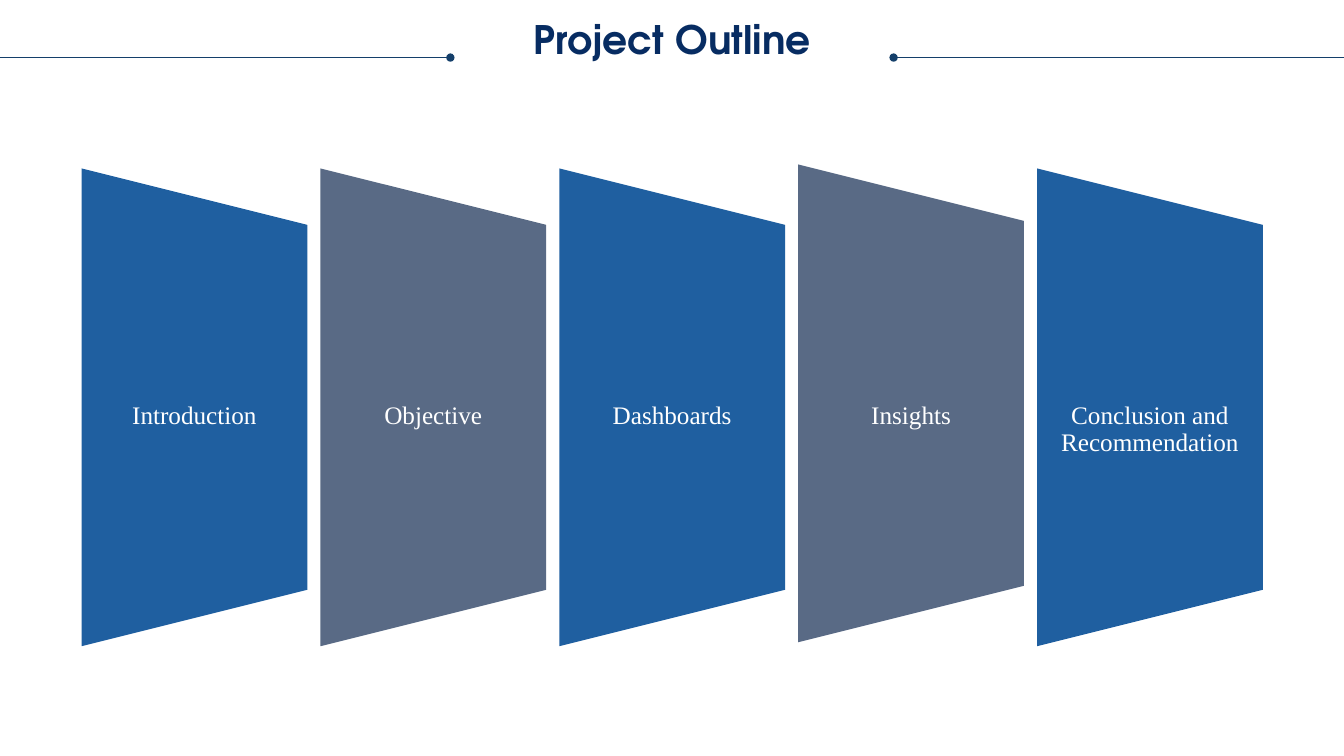
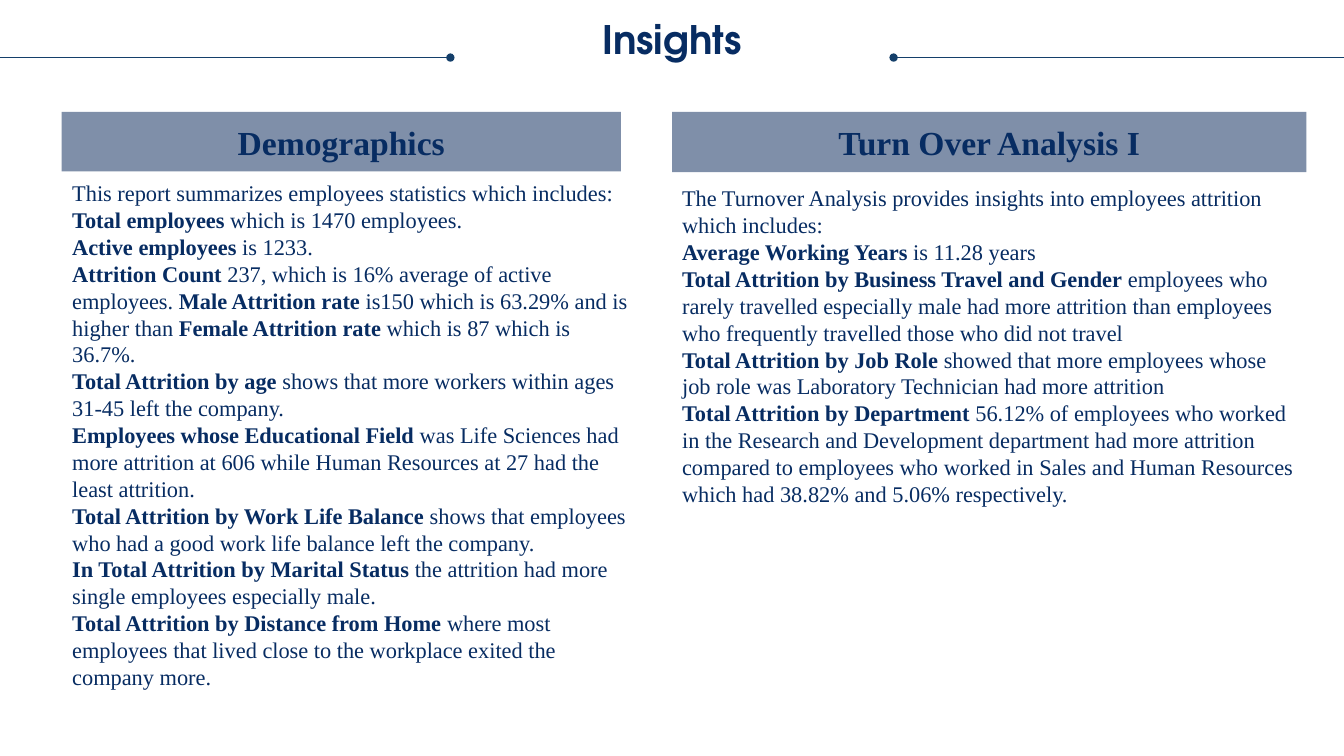
from dataclasses import dataclass

from lxml.etree import SubElement
from pptx import Presentation
from pptx.dml.color import RGBColor
from pptx.enum.shapes import MSO_CONNECTOR, MSO_SHAPE
from pptx.enum.text import MSO_ANCHOR, MSO_AUTO_SIZE, PP_ALIGN
from pptx.oxml.ns import qn
from pptx.presentation import Presentation as PresentationType
from pptx.shapes.autoshape import Shape
from pptx.slide import Slide
from pptx.util import Cm, Pt

COLORS = {
    "navy": "072C62",
    "rule": "143F6A",
    "blue": "1F5FA0",
    "slate": "596A85",
    "band": "7F8FA9",
    "white": "FFFFFF",
}
TITLE_FONT = "TeX Gyre Adventor"
TEXT_FONT = "Times New Roman"
SLIDE_WIDTH, SLIDE_HEIGHT = 33.87, 19.05
RULE_LENGTH, RULE_TOP = 11.35, 1.45
TITLE_ONLY, COMPARISON = 5, 4


@dataclass(frozen=True)
class Section:
    """One step of the outline."""
    label: str
    color: str
    top: float = 7.42
    lines: int = 1


@dataclass(frozen=True)
class Panel:
    """A heading band with a text box below it; ** marks bold text."""
    heading: str
    band_left: float
    band_width: float
    band_height: float
    text_left: float
    text_width: float
    text_inset: float
    paragraphs: tuple[str, ...]


SECTIONS = (
    Section("Introduction", "blue"),
    Section("Objective", "slate"),
    Section("Dashboards", "blue"),
    Section("Insights", "slate", top=7.32),
    Section("Conclusion and Recommendation", "blue", lines=2),
)

PANELS = (
    Panel("Demographics", 1.55, 14.1, 1.5, 1.57, 14.66, 0, (
        "This report summarizes employees statistics which includes: "
        "**Total employees** which is 1470 employees.",
        "**Active employees** is 1233.",
        "**Attrition Count** 237, which is 16% average of active employees. "
        "**Male Attrition rate** is150 which is 63.29% and is higher than "
        "**Female Attrition rate** which is 87 which is 36.7%.",
        "**Total Attrition by age** shows that more workers within ages 31-45 "
        "left the company.",
        "**Employees whose Educational Field** was Life Sciences had more "
        "attrition at 606 while Human Resources at 27 had the least attrition.",
        "**Total Attrition by Work Life Balance** shows that employees who had "
        "a good work life balance left the company.",
        "**In Total Attrition by Marital Status** the attrition had more single "
        "employees especially male.",
        "**Total Attrition by Distance from Home** where most employees that "
        "lived close to the workplace exited the company more.",
    )),
    Panel("Turn Over Analysis I", 16.94, 15.98, 1.52, 16.94, 15.98, 0.13, (
        "The Turnover Analysis provides insights into employees attrition "
        "which includes:",
        "**Average Working Years** is 11.28 years",
        "**Total Attrition by Business Travel and Gender** employees who rarely "
        "travelled especially male had more attrition than employees who "
        "frequently travelled those who did not travel",
        "**Total Attrition by Job Role** showed that more employees whose job "
        "role was Laboratory Technician had more attrition",
        "**Total Attrition by Department** 56.12% of employees who worked in "
        "the Research and Development department had more attrition compared "
        "to employees who worked in Sales and Human Resources which had 38.82% "
        "and 5.06% respectively.",
    )),
)


def color(name: str) -> RGBColor:
    return RGBColor.from_string(COLORS[name])


def place(shape: Shape, left: float, top: float, width: float, height: float) -> None:
    shape.left, shape.top = Cm(left), Cm(top)
    shape.width, shape.height = Cm(width), Cm(height)


def paint(shape: Shape, fill: str) -> None:
    shape.fill.solid()
    shape.fill.fore_color.rgb = color(fill)
    shape.line.fill.background()
    shape.shadow.inherit = False


def write(shape: Shape, *texts: str, size: float, font: str = TEXT_FONT,
          ink: str = "navy", bold: bool = False,
          align: PP_ALIGN = PP_ALIGN.LEFT, anchor: MSO_ANCHOR = MSO_ANCHOR.TOP,
          line_spacing: float | Pt = 1.0, side_inset: float = 0.25,
          top_inset: float = 0.13) -> None:
    """Fill a shape with one unbulleted paragraph per text."""
    frame = shape.text_frame
    frame.word_wrap = True
    frame.auto_size = MSO_AUTO_SIZE.NONE
    frame.vertical_anchor = anchor
    frame.margin_left = frame.margin_right = Cm(side_inset)
    frame.margin_top = frame.margin_bottom = Cm(top_inset)
    for index, text in enumerate(texts):
        paragraph = frame.add_paragraph() if index else frame.paragraphs[0]
        paragraph.alignment = align
        paragraph.line_spacing = line_spacing
        paragraph.space_before = paragraph.space_after = Pt(0)
        properties = paragraph._p.get_or_add_pPr()
        properties.set("marL", "0")
        properties.set("indent", "0")
        SubElement(properties, qn("a:buNone"))
        for position, part in enumerate(text.split("**")):
            if part:
                run = paragraph.add_run()
                run.text = part
                run.font.name = font
                run.font.size = Pt(size)
                run.font.bold = bold or position % 2 == 1
                run.font.color.rgb = color(ink)


def add_rule(slide: Slide, start: float, end: float, dot: str) -> None:
    """Draw a title rule with a dot at its headEnd or tailEnd."""
    rule = slide.shapes.add_connector(
        MSO_CONNECTOR.STRAIGHT, Cm(start), Cm(RULE_TOP), Cm(end), Cm(RULE_TOP))
    rule.line.color.rgb = color("rule")
    rule.line.width = Pt(0.5)
    properties = rule._element.spPr
    SubElement(properties.find(qn("a:ln")), qn(f"a:{dot}"), type="oval")
    SubElement(properties, qn("a:effectLst"))


def add_titled_slide(presentation: PresentationType, layout: int, title: str,
                     title_height: float) -> Slide:
    slide = presentation.slides.add_slide(presentation.slide_layouts[layout])
    place(slide.shapes.title, 0.64, 0.53, 32.59, title_height)
    write(slide.shapes.title, title, size=28, font=TITLE_FONT, bold=True,
          align=PP_ALIGN.CENTER, line_spacing=0.9, side_inset=0, top_inset=0)
    add_rule(slide, 0, RULE_LENGTH, "tailEnd")
    add_rule(slide, SLIDE_WIDTH - RULE_LENGTH, SLIDE_WIDTH, "headEnd")
    return slide


def add_section(slide: Slide, section: Section, center: float) -> None:
    # Trapezoid turned so that its narrow side faces right
    length, depth, label_width = 12.04, 5.69, 4.88
    trapezoid = slide.shapes.add_shape(
        MSO_SHAPE.TRAPEZOID, Cm(center - length / 2), Cm(section.top),
        Cm(length), Cm(depth))
    trapezoid.rotation = 90
    paint(trapezoid, section.color)

    # Upright label
    label = slide.shapes.add_textbox(
        Cm(center - label_width / 2), Cm(10.16), Cm(label_width),
        Cm(0.67 * section.lines))
    write(label, section.label, size=18, ink="white", align=PP_ALIGN.CENTER,
          line_spacing=Pt(19), side_inset=0, top_inset=0)


def add_panel(heading: Shape, body: Shape, panel: Panel) -> None:
    place(heading, panel.band_left, 2.82, panel.band_width, panel.band_height)
    paint(heading, "band")
    write(heading, panel.heading, size=24, bold=True, align=PP_ALIGN.CENTER,
          anchor=MSO_ANCHOR.MIDDLE)
    place(body, panel.text_left, 4.52, panel.text_width, 13.44)
    paint(body, "white")
    write(body, *panel.paragraphs, size=16, top_inset=panel.text_inset)


def main() -> None:
    presentation = Presentation()
    presentation.slide_width = Cm(SLIDE_WIDTH)
    presentation.slide_height = Cm(SLIDE_HEIGHT)

    # Project outline
    outline = add_titled_slide(presentation, TITLE_ONLY, "Project Outline", 2.16)
    for index, section in enumerate(SECTIONS):
        add_section(outline, section, center=4.9 + 6.02 * index)

    # Insights: the layout pairs each heading with a body
    insights = add_titled_slide(presentation, COMPARISON, "Insights", 1.07)
    holders = {holder.placeholder_format.idx: holder
               for holder in insights.placeholders}
    for index, panel in enumerate(PANELS):
        add_panel(holders[1 + 2 * index], holders[2 + 2 * index], panel)

    presentation.save("out.pptx")


if __name__ == "__main__":
    main()
